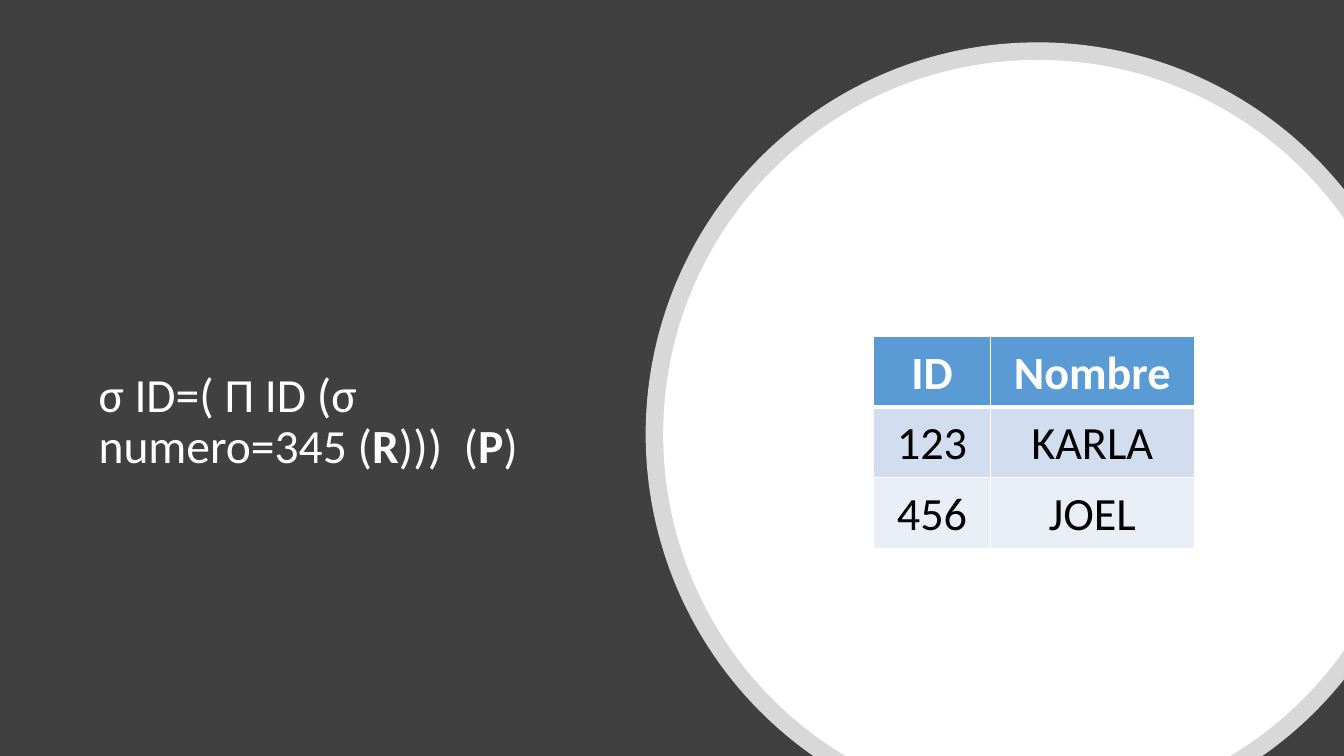
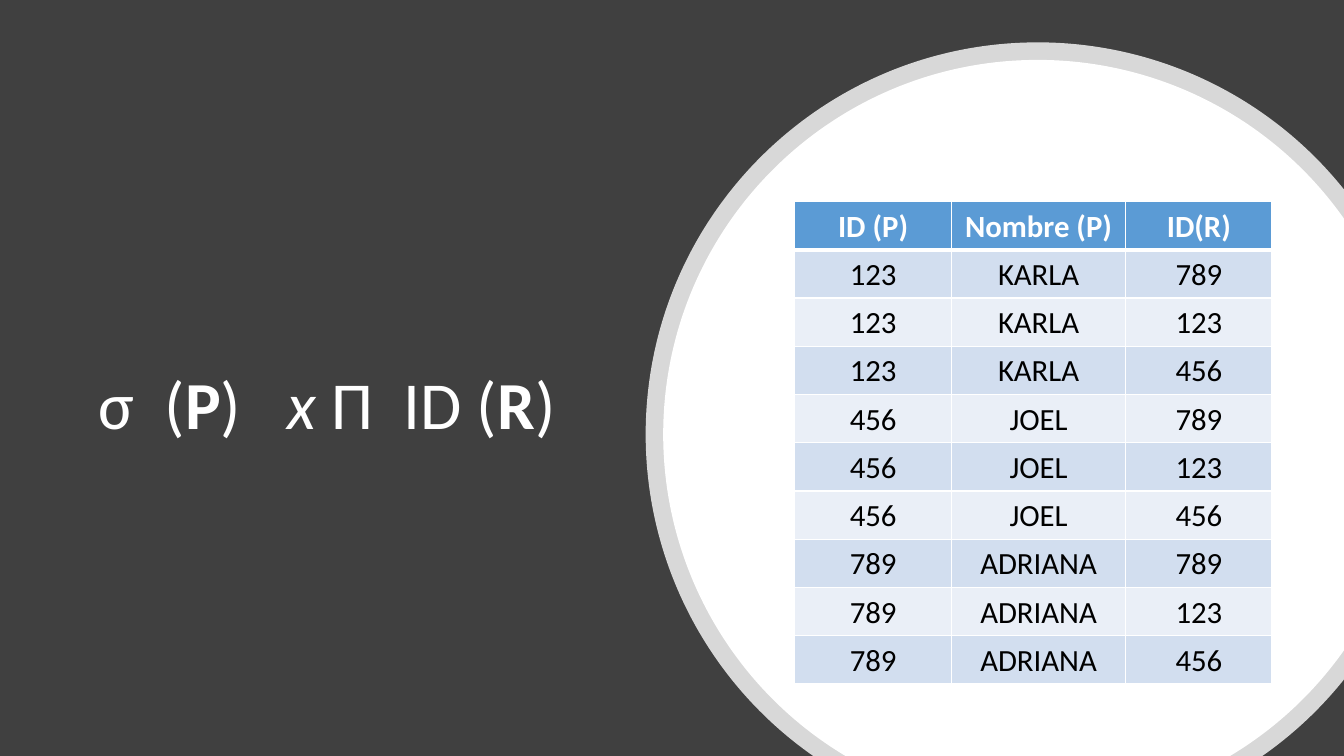
import itertools
import math
from dataclasses import dataclass

import lxml.etree
import pptx
import pptx.dml.color
import pptx.enum.shapes
import pptx.enum.text
import pptx.oxml.ns
import pptx.util

RGBColor = pptx.dml.color.RGBColor
qn = pptx.oxml.ns.qn

WHITE = RGBColor(0xFF, 0xFF, 0xFF)
BLACK = RGBColor(0x00, 0x00, 0x00)
CHARCOAL = RGBColor(0x40, 0x40, 0x40)
HEADER_BLUE = RGBColor(0x5B, 0x9B, 0xD5)
BANDS = (RGBColor(0xD2, 0xDE, 0xEF), RGBColor(0xEA, 0xEF, 0xF7))
FONT = "Calibri"

SLIDE_W = pptx.util.Inches(13.333)
SLIDE_H = pptx.util.Inches(7.5)


@dataclass(frozen=True)
class Part:
    """A piece of the formula with its own emphasis."""
    text: str
    bold: bool = False
    italic: bool = False


@dataclass(frozen=True)
class Disc:
    """Radius in percent of the slide height, opacity in percent."""
    radius: float
    opacity: int


@dataclass(frozen=True)
class ResultTable:
    """Lengths in percent of the slide's width and height; inset in inches."""
    left: float
    top: float
    cols: tuple[float, ...]
    row: float
    size: int
    inset: float
    rows: list[tuple[str, ...]]


@dataclass(frozen=True)
class QuerySlide:
    formula: list[Part]
    size: int
    table: ResultTable


DISC_CENTRE = (77.22, 57.47)
DISCS = (Disc(51.87, 80), Disc(49.55, 100))

PEOPLE = (("123", "KARLA"), ("456", "JOEL"), ("789", "ADRIANA"))
PHONE_IDS = ("789", "123", "456")

SLIDES = (
    QuerySlide(
        [Part("σ ID=( Π ID (σ  numero=345 ("), Part("R", bold=True),
         Part(")))  ("), Part("P", bold=True), Part(")")],
        34,
        ResultTable(65, 44.53, (8.7, 15.15), 9.33, 33, 0.03,
                    [("ID", "Nombre"), *PEOPLE[:2]])),
    QuerySlide(
        [Part("σ  ("), Part("P", bold=True), Part(")   "),
         Part("x", italic=True), Part(" Π  ID ("), Part("R", bold=True),
         Part(")")],
        48,
        ResultTable(59.14, 26.67, (11.65, 12.98, 10.88), 6.38, 22, 0.02,
                    [("ID (P)", "Nombre (P)", "ID(R)"),
                     *((*person, phone_id) for person, phone_id
                       in itertools.product(PEOPLE, PHONE_IDS))])),
)


def across(percent: float) -> int:
    return round(SLIDE_W * percent / 100)


def down(percent: float) -> int:
    return round(SLIDE_H * percent / 100)


def paint(sp, color: RGBColor) -> None:
    sp.shadow.inherit = False
    sp.fill.solid()
    sp.fill.fore_color.rgb = color
    sp.line.fill.background()


def add_disc(s, disc: Disc) -> None:
    """Draw a white circle cut off at the slide's right and bottom edges."""
    cx, cy, radius = across(DISC_CENTRE[0]), down(DISC_CENTRE[1]), down(disc.radius)
    right = math.acos((SLIDE_W - cx) / radius)
    bottom = math.asin((SLIDE_H - cy) / radius)
    # Clockwise from the top; the second and fourth sides are straight cuts
    angles = (-math.pi / 2, -right, right, bottom,
              math.pi - bottom, math.pi, math.pi * 3 / 2)
    cuts = (1, 3)

    def point(angle: float, lean: float = 0) -> tuple[int, int]:
        """A point on the circle, moved along its tangent by lean radii."""
        return (round(cx + radius * (math.cos(angle) - lean * math.sin(angle))),
                round(cy + radius * (math.sin(angle) + lean * math.cos(angle))))

    corners = [point(a) for a in angles]
    builder = s.shapes.build_freeform(*corners[0])
    builder.add_line_segments(corners[1:], close=True)
    sp = builder.convert_to_shape()
    paint(sp, WHITE)

    # Bend the sides that follow the circle
    sides = sp._element.findall(".//" + qn("a:lnTo"))
    for i, (side, (a, b)) in enumerate(zip(sides, itertools.pairwise(angles))):
        if i in cuts:
            continue
        lean = 4 / 3 * math.tan((b - a) / 4)
        side.tag = qn("a:cubicBezTo")
        for position, (x, y) in enumerate((point(a, lean), point(b, -lean))):
            pt = lxml.etree.Element(qn("a:pt"), x=str(x - sp.left), y=str(y - sp.top))
            side.insert(position, pt)

    if disc.opacity < 100:
        color = sp._element.spPr.find(qn("a:solidFill")).find(qn("a:srgbClr"))
        lxml.etree.SubElement(color, qn("a:alpha"), val=str(disc.opacity * 1000))


def add_formula(s, parts: list[Part], size: int) -> None:
    tf = s.shapes.add_textbox(across(6.6), down(48.45),
                              across(37.5), down(30.27)).text_frame
    tf.word_wrap = True
    p = tf.paragraphs[0]
    p.line_spacing = 0.9
    p.font.name, p.font.size = FONT, pptx.util.Pt(size)
    p.font.color.rgb = WHITE
    for part in parts:
        r = p.add_run()
        r.text = part.text
        if part.bold:
            r.font.bold = True
        if part.italic:
            r.font.italic = True
    p.add_line_break()


def set_header_borders(cell) -> None:
    """White borders, the bottom one thick; widths in points."""
    sides = (("L", 1), ("R", 1), ("T", 1), ("B", 3))
    for position, (side, width) in enumerate(sides):
        ln = lxml.etree.Element(qn(f"a:ln{side}"), w=str(pptx.util.Pt(width)))
        fill = lxml.etree.SubElement(ln, qn("a:solidFill"))
        lxml.etree.SubElement(fill, qn("a:srgbClr"), val=str(WHITE))
        cell._tc.get_or_add_tcPr().insert(position, ln)


def fill_cell(cell, text: str, row: int, result: ResultTable) -> None:
    header = row == 0
    cell.fill.solid()
    cell.fill.fore_color.rgb = HEADER_BLUE if header else BANDS[(row - 1) % 2]
    cell.vertical_anchor = pptx.enum.text.MSO_ANCHOR.MIDDLE
    inset = pptx.util.Inches(result.inset)
    cell.margin_left = cell.margin_right = cell.margin_top = inset
    cell.margin_bottom = 0
    if header:
        set_header_borders(cell)
    p = cell.text_frame.paragraphs[0]
    p.text = text
    p.alignment = pptx.enum.text.PP_ALIGN.CENTER
    p.font.name, p.font.size = FONT, pptx.util.Pt(result.size)
    p.font.bold = header
    p.font.color.rgb = WHITE if header else BLACK


def add_result(s, result: ResultTable) -> None:
    table = s.shapes.add_table(
        len(result.rows), len(result.cols), across(result.left), down(result.top),
        across(sum(result.cols)), down(result.row * len(result.rows))).table
    for column, width in zip(table.columns, result.cols):
        column.width = across(width)
    for i, texts in enumerate(result.rows):
        table.rows[i].height = down(result.row)
        for j, text in enumerate(texts):
            fill_cell(table.cell(i, j), text, i, result)


def add_query_slide(prs, query: QuerySlide) -> None:
    s = prs.slides.add_slide(prs.slide_layouts[6])
    # Dark backdrop
    paint(s.shapes.add_shape(pptx.enum.shapes.MSO_SHAPE.RECTANGLE,
                             0, 0, SLIDE_W, SLIDE_H), CHARCOAL)
    # Formula on the left
    add_formula(s, query.formula, query.size)
    # Ringed disc with the result table
    for disc in DISCS:
        add_disc(s, disc)
    add_result(s, query.table)


def main() -> None:
    prs = pptx.Presentation()
    prs.slide_width, prs.slide_height = SLIDE_W, SLIDE_H
    for query in SLIDES:
        add_query_slide(prs, query)
    prs.save("out.pptx")


if __name__ == "__main__":
    main()
